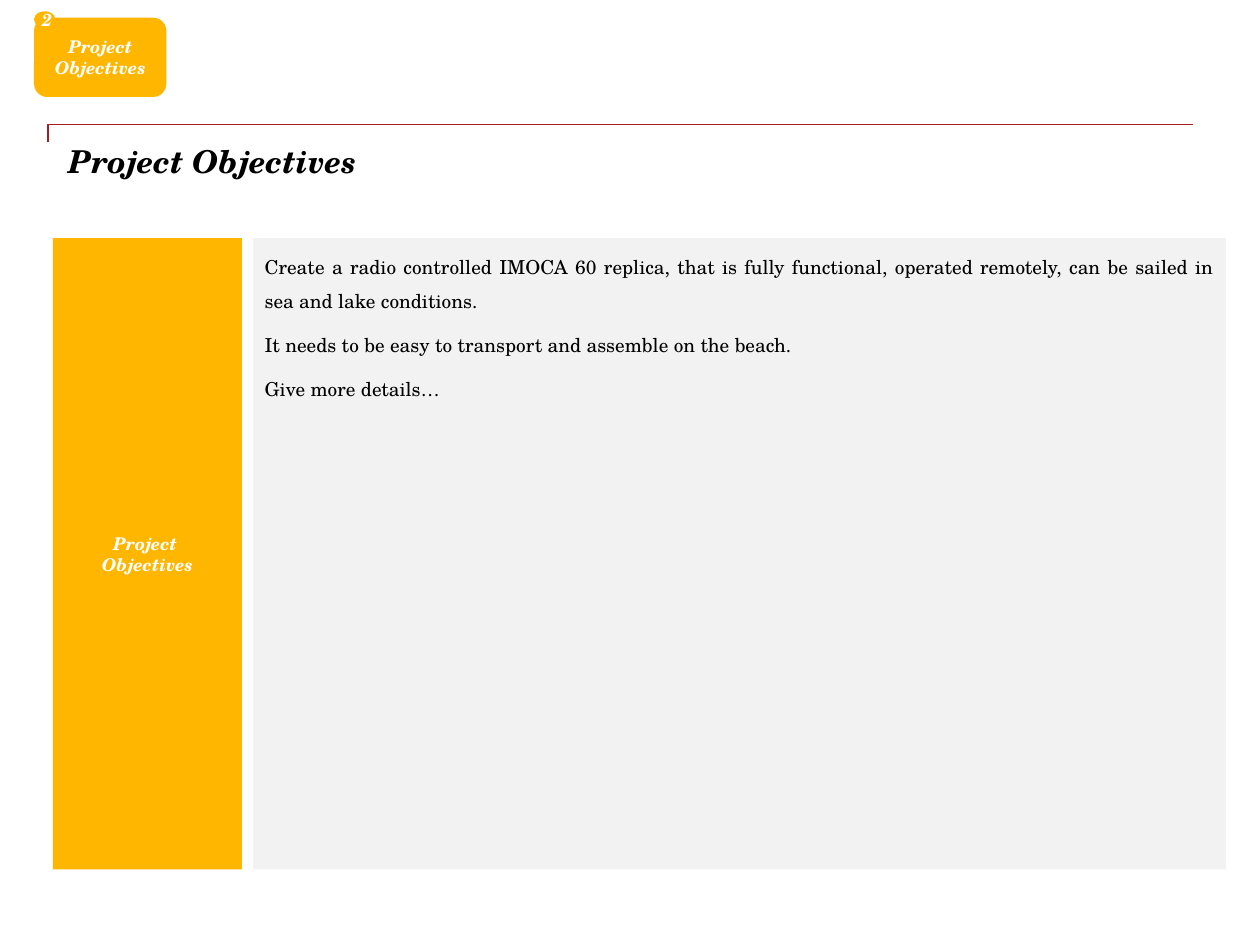
from lxml.etree import SubElement
from pptx import Presentation
from pptx.dml.color import RGBColor
from pptx.enum.shapes import MSO_CONNECTOR, MSO_SHAPE
from pptx.enum.text import MSO_ANCHOR, PP_ALIGN
from pptx.oxml.ns import qn
from pptx.util import Inches, Pt

FONT = "TeX Gyre Schola"
AMBER, GREY, RED = "FFB600", "F2F2F2", "A32020"
BLACK, WHITE = "000000", "FFFFFF"


def colour(value):
    return RGBColor.from_string(value)


class SlideBuilder:
    def __init__(self, page):
        self.page = page

    def add_lines(self, box, lines, size, ink, strong=True, align=PP_ALIGN.CENTER,
                  anchor=MSO_ANCHOR.MIDDLE, insets=(0.08, 0.04), spacing=None, before=0):
        frame = box.text_frame
        frame.word_wrap = True
        frame.vertical_anchor = anchor
        frame.margin_left = frame.margin_right = Inches(insets[0])
        frame.margin_top = frame.margin_bottom = Inches(insets[1])
        for index, line in enumerate(lines):
            para = frame.add_paragraph() if index else frame.paragraphs[0]
            para.alignment = align
            para.line_spacing = spacing
            para.space_before = Pt(before)
            span = para.add_run()
            span.text = line
            span.font.name = FONT
            span.font.size = Pt(size)
            span.font.bold = span.font.italic = strong
            span.font.color.rgb = colour(ink)

    def panel(self, kind, left, top, width, height, fill):
        box = self.page.shapes.add_shape(
            kind, Inches(left), Inches(top), Inches(width), Inches(height))
        box.shadow.inherit = False
        box.fill.solid()
        box.fill.fore_color.rgb = colour(fill)
        box.line.fill.background()
        return box

    def label(self, kind, left, top, width, height, lines):
        box = self.panel(kind, left, top, width, height, AMBER)
        self.add_lines(box, lines, 10, WHITE)

    def title(self, left, top, width, height, text):
        box = self.page.shapes.add_textbox(
            Inches(left), Inches(top), Inches(width), Inches(height))
        self.add_lines(box, [text], 18, BLACK, align=PP_ALIGN.LEFT,
                       anchor=MSO_ANCHOR.TOP, insets=(0, 0))

    def body(self, left, top, width, height, lines):
        box = self.panel(MSO_SHAPE.RECTANGLE, left, top, width, height, GREY)
        self.add_lines(box, lines, 11, BLACK, strong=False, align=PP_ALIGN.JUSTIFY,
                       anchor=MSO_ANCHOR.TOP, insets=(0.09, 0.04), spacing=1.5, before=5.4)

    def corner_rule(self, left, bottom, right, top):
        rule = self.page.shapes.add_connector(
            MSO_CONNECTOR.ELBOW, Inches(left), Inches(bottom), Inches(right), Inches(top))
        rule.line.color.rgb = colour(RED)
        rule.line.width = Pt(0.75)
        properties = rule._element.spPr
        SubElement(properties, qn("a:effectLst"))
        guides = properties.find(qn("a:prstGeom")).find(qn("a:avLst"))
        SubElement(guides, qn("a:gd"), name="adj1", fmla="val 0")


def main():
    deck = Presentation()
    deck.slide_width, deck.slide_height = Inches(10), Inches(7.5)
    slide = SlideBuilder(deck.slides.add_slide(deck.slide_layouts[6]))

    slide.corner_rule(0.38, 1.13, 9.47, 0.99)
    slide.title(0.54, 1.13, 8.95, 0.88, "Project Objectives")
    slide.label(MSO_SHAPE.RECTANGLE, 0.42, 1.89, 1.5, 5.01, ["Project ", "Objectives"])
    slide.body(2.01, 1.89, 7.72, 5.01, [
        "Create a radio controlled IMOCA 60 replica, that is fully functional, "
        "operated remotely, can be sailed in sea and lake conditions. ",
        "It needs to be easy to transport and assemble on the beach. ",
        "Give more details… ",
    ])
    slide.label(MSO_SHAPE.ROUNDED_RECTANGLE, 0.27, 0.14, 1.05, 0.63, ["Project Objectives"])
    slide.label(MSO_SHAPE.OVAL, 0.27, 0.09, 0.17, 0.13, ["2"])

    deck.save("out.pptx")


if __name__ == "__main__":
    main()
